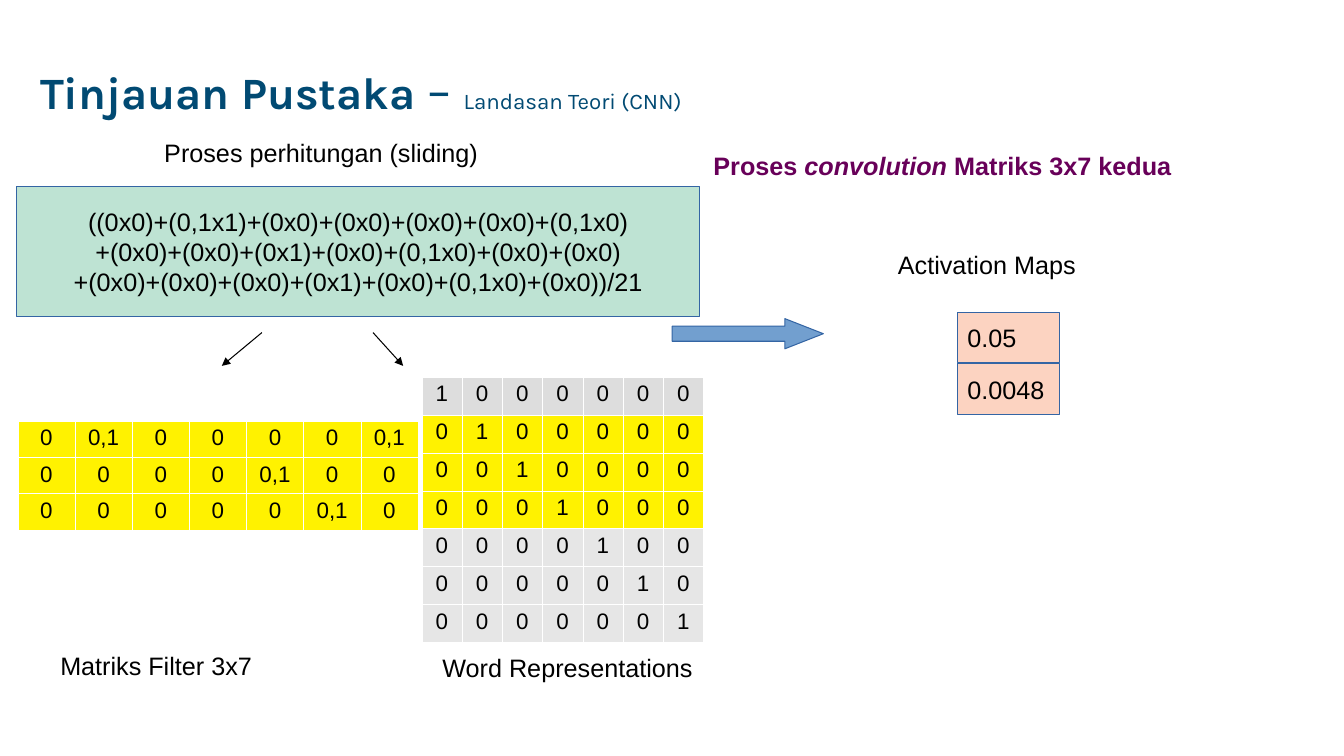
from dataclasses import dataclass

from lxml.etree import SubElement
from pptx import Presentation
from pptx.dml.color import RGBColor
from pptx.enum.shapes import MSO_CONNECTOR, MSO_SHAPE
from pptx.enum.text import MSO_ANCHOR, PP_ALIGN
from pptx.oxml import parse_xml
from pptx.oxml.ns import nsdecls, qn
from pptx.util import Cm, Pt


@dataclass(frozen=True)
class Theme:
    title_font: str = "Karla"
    body_font: str = "Arial"
    title: str = "014A73"
    heading: str = "680059"
    ink: str = "000000"
    outline: str = "3465A4"
    arrow: str = "729FCF"
    formula: str = "BEE3D3"
    result: str = "FCD3C1"
    active: str = "FFF200"
    header: str = "DDDDDD"
    idle: str = "E6E6E6"
    grid: str = "FFFFFF"
    title_size: int = 32
    dash_size: int = 36
    subtitle_size: int = 16
    body_size: int = 18
    cell_size: int = 16
    line_width: float = 0.75


class SlideBuilder:
    def __init__(self, slide, theme):
        self.shapes = slide.shapes
        self.theme = theme

    def style(self, p, size=None, color=None, font=None, align=PP_ALIGN.LEFT):
        t = self.theme
        p.alignment = align
        p.font.name = font or t.body_font
        p.font.size = Pt(size or t.body_size)
        p.font.color.rgb = RGBColor.from_string(color or t.ink)

    def text(self, x, y, w, h, runs, anchor=MSO_ANCHOR.TOP, spacing=None, **style):
        """Text box with one paragraph; runs are (text, font settings) pairs."""
        tf = self.shapes.add_textbox(Cm(x), Cm(y), Cm(w), Cm(h)).text_frame
        tf.word_wrap = True
        tf.vertical_anchor = anchor
        p = tf.paragraphs[0]
        self.style(p, **style)
        if spacing:
            p.line_spacing = spacing
        for text, settings in runs:
            r = p.add_run()
            r.text = text
            for name, value in settings.items():
                setattr(r.font, name, value)

    def label(self, x, y, w, text):
        self.text(x, y, w, 0.97, [(text, {})])

    def shape(self, kind, x, y, w, h, fill):
        sp = self.shapes.add_shape(kind, Cm(x), Cm(y), Cm(w), Cm(h))
        sp.shadow.inherit = False
        sp.fill.solid()
        sp.fill.fore_color.rgb = RGBColor.from_string(fill)
        sp.line.color.rgb = RGBColor.from_string(self.theme.outline)
        sp.line.width = Pt(self.theme.line_width)
        return sp

    def box(self, x, y, w, h, fill, lines, align=PP_ALIGN.LEFT):
        tf = self.shape(MSO_SHAPE.RECTANGLE, x, y, w, h, fill).text_frame
        tf.word_wrap = False
        tf.vertical_anchor = MSO_ANCHOR.MIDDLE
        tf.text = "\n".join(lines)
        for p in tf.paragraphs:
            self.style(p, align=align)

    def block_arrow(self, x, y, w, h, head):
        sp = self.shape(MSO_SHAPE.RIGHT_ARROW, x, y, w, h, self.theme.arrow)
        sp.adjustments[0] = 0.5
        sp.adjustments[1] = head / h

    def pointer(self, x1, y1, x2, y2):
        cxn = self.shapes.add_connector(
            MSO_CONNECTOR.STRAIGHT, Cm(x1), Cm(y1), Cm(x2), Cm(y2))
        cxn.line.color.rgb = RGBColor.from_string(self.theme.ink)
        cxn.line.width = Pt(self.theme.line_width)
        SubElement(cxn.line._get_or_add_ln(), qn("a:tailEnd"), type="triangle")
        SubElement(cxn._element.spPr, qn("a:effectLst"))

    def matrix(self, x, y, w, h, rows, fills):
        frame = self.shapes.add_table(
            len(rows), len(rows[0]), Cm(x), Cm(y), Cm(w), Cm(h))
        table = frame.table
        table.first_row = table.horz_banding = False
        for i, (row, fill) in enumerate(zip(rows, fills)):
            for j, value in enumerate(row):
                cell = table.cell(i, j)
                cell.text = value
                cell.margin_top = cell.margin_bottom = Cm(0.12)
                cell.fill.solid()
                cell.fill.fore_color.rgb = RGBColor.from_string(fill)
                self.style(cell.text_frame.paragraphs[0],
                           self.theme.cell_size, align=PP_ALIGN.CENTER)
                self.cell_borders(cell)

    def cell_borders(self, cell):
        tc_pr = cell._tc.get_or_add_tcPr()
        for i, side in enumerate("LRTB"):
            tc_pr.insert(i, parse_xml(
                f'<a:ln{side} {nsdecls("a")} w="720"><a:solidFill>'
                f'<a:srgbClr val="{self.theme.grid}"/>'
                f'</a:solidFill></a:ln{side}>'))


def main():
    prs = Presentation()
    prs.slide_width, prs.slide_height = Cm(33.87), Cm(19.05)
    t = Theme()
    s = SlideBuilder(prs.slides.add_slide(prs.slide_layouts[6]), t)

    # Title and heading
    s.text(0.76, 0.51, 19.05, 3.68, [
        ("Tinjauan Pustaka", {"bold": True}),
        (" – ", {"size": Pt(t.dash_size)}),
        ("Landasan Teori (CNN)", {"size": Pt(t.subtitle_size)}),
    ], anchor=MSO_ANCHOR.MIDDLE, spacing=0.9,
        size=t.title_size, color=t.title, font=t.title_font)
    s.text(17.73, 3.66, 14.33, 1.68, [
        ("Proses ", {"bold": True}),
        ("convolution", {"bold": True, "italic": True}),
        (" Matriks 3x7 kedua", {"bold": True}),
    ], color=t.heading)

    # Sliding calculation
    s.label(3.89, 3.33, 9.88, "Proses perhitungan (sliding)")
    s.box(0.42, 4.7, 17.22, 3.28, t.formula, [
        "((0x0)+(0,1x1)+(0x0)+(0x0)+(0x0)+(0x0)+(0,1x0)",
        "+(0x0)+(0x0)+(0x1)+(0x0)+(0,1x0)+(0x0)+(0x0)",
        "+(0x0)+(0x0)+(0x0)+(0x1)+(0x0)+(0,1x0)+(0x0))/21",
    ], PP_ALIGN.CENTER)
    s.pointer(6.6, 8.38, 5.59, 9.22)
    s.pointer(9.4, 8.38, 10.16, 9.22)

    # Filter matrix
    filter_rows = [
        "0 0,1 0 0 0 0 0,1".split(),
        "0 0 0 0 0,1 0 0".split(),
        "0 0 0 0 0 0,1 0".split(),
    ]
    s.matrix(0.45, 10.6, 10.08, 2.64, filter_rows, [t.active] * 3)
    s.label(1.27, 16.26, 6.35, "Matriks Filter 3x7")

    # One-hot word matrix, with the current window highlighted
    one_hot = [["1" if i == j else "0" for j in range(7)] for i in range(7)]
    s.matrix(10.63, 9.5, 7.1, 6.68, one_hot,
             [t.header] + [t.active] * 3 + [t.idle] * 3)
    s.label(10.9, 16.31, 7.65, "Word Representations")

    # Activation maps
    s.block_arrow(16.94, 8.03, 3.81, 0.76, head=0.97)
    s.label(22.38, 6.15, 5.56, "Activation Maps")
    for i, value in enumerate(["0.05", "0.0048"]):
        s.box(24.13, 7.87 + 1.3 * i, 2.57, 1.27, t.result, [value])

    prs.save("out.pptx")


if __name__ == "__main__":
    main()
